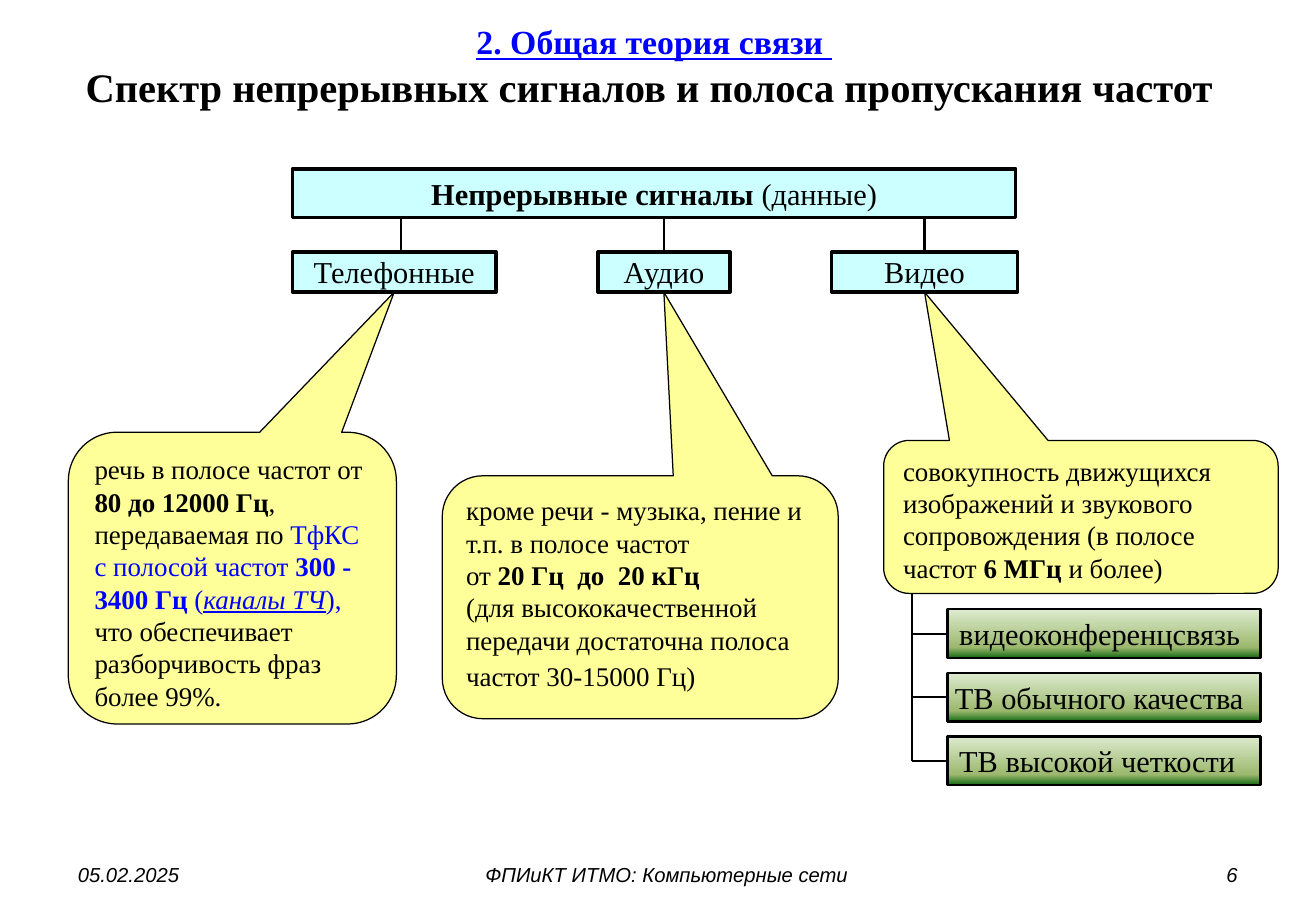
from dataclasses import dataclass

from copy import deepcopy
from lxml.etree import SubElement
from pptx import Presentation
from pptx.dml.color import RGBColor
from pptx.enum.shapes import MSO_CONNECTOR, MSO_SHAPE
from pptx.enum.text import MSO_ANCHOR, MSO_AUTO_SIZE, PP_ALIGN
from pptx.oxml.ns import qn
from pptx.util import Cm, Pt


@dataclass(frozen=True)
class Theme:
    """Colours, fonts and type sizes of the slide."""
    ink: str = "000000"
    accent: str = "0000FF"
    signal: str = "CCFFFF"
    note: str = "FFFF99"
    video: tuple = ((0, "DDEBCF"), (0.78, "9CB86E"), (1, "156B13"))
    serif: str = "Times New Roman"
    sans: str = "Arial"
    section: int = 20
    heading: int = 24
    label: int = 18
    detail: int = 16
    footer: int = 12


THEME = Theme()
BOLD, ITALIC, UNDERLINE, ACCENT, LARGE_SANS = "biual"

SECTION = [("2. Общая теория связи ", BOLD + UNDERLINE + ACCENT)]
HEADING = [("Спектр непрерывных сигналов и полоса пропускания частот ", BOLD)]
SIGNALS = [("Непрерывные сигналы ", BOLD), ("(данные)", "")]
SIGNALS_BOX = (6.12, 3.53, 15.12, 1.02)

KINDS = [
    {"name": "Телефонные", "left": 6.12, "width": 4.25, "stem_shift": 0.14,
     "note_box": (1.43, 9.04, 6.86, 6.1),
     "note": [
         [("речь в полосе частот от ", ""), ("80 до 12000 Гц", BOLD),
          (", передаваемая по ", ""), ("ТфКС с полосой частот ", ACCENT),
          ("300 - 3400 Гц ", BOLD + ACCENT), ("(", ACCENT),
          ("каналы ТЧ", ITALIC + UNDERLINE + ACCENT), ("),", ACCENT)],
         [("что обеспечивает разборчивость фраз более 99%.", "")]]},
    {"name": "Аудио", "left": 12.51, "width": 2.75, "stem_shift": 0,
     "note_box": (9.25, 9.95, 8.28, 5.08),
     "note": [
         [("кроме речи - музыка, пение и т.п. в полосе частот", "")],
         [("от ", ""), ("20 Гц  до  20 кГц", BOLD)],
         [("(для высококачественной передачи достаточна полоса "
           "частот 30-15000 Гц)", ""), (" ", LARGE_SANS)]]},
    {"name": "Видео", "left": 17.39, "width": 3.89, "stem_shift": 0,
     "note_box": (18.48, 9.21, 8.25, 3.2),
     "note": [
         [("совокупность движущихся изображений и звукового сопровождения "
           "(в полосе частот ", ""), ("6 МГц ", BOLD), ("и более)", "")]]},
]
KIND_TOP, KIND_HEIGHT = 5.27, 0.84

VIDEO_FORMATS = [("видеоконференцсвязь", 0.25), ("ТВ обычного качества", 0.16),
                 ("ТВ высокой четкости", 0.25)]
FORMAT_LEFT, FORMAT_TOP, FORMAT_WIDTH, FORMAT_HEIGHT = 19.81, 12.74, 6.55, 1.02
FORMAT_PITCH = 1.33
TRUNK_X, TRUNK_TOP = 19.07, 12.4

FOOTERS = [("05.02.2025", 1.38, 6.43, PP_ALIGN.LEFT),
           ("ФПИиКТ ИТМО: Компьютерные сети", 8.51, 10.87, PP_ALIGN.CENTER),
           ("6", 19.7, 6.43, PP_ALIGN.RIGHT)]


def write(shape, paragraphs, sizes, font=THEME.serif, align=PP_ALIGN.LEFT,
          anchor=MSO_ANCHOR.TOP, margins=(0.25, 0.13, 0.25, 0.13)):
    """Fill a shape with styled paragraphs."""
    frame = shape.text_frame
    frame.word_wrap = True
    frame.auto_size = MSO_AUTO_SIZE.NONE
    frame.vertical_anchor = anchor
    (frame.margin_left, frame.margin_top,
     frame.margin_right, frame.margin_bottom) = map(Cm, margins)
    for index, (runs, size) in enumerate(zip(paragraphs, sizes)):
        paragraph = frame.add_paragraph() if index else frame.paragraphs[0]
        paragraph.alignment = align
        for text, style in runs:
            run = paragraph.add_run()
            run.text = text
            large = LARGE_SANS in style
            run.font.name = THEME.sans if large else font
            run.font.size = Pt(THEME.label if large else size)
            run.font.bold, run.font.italic = BOLD in style, ITALIC in style
            run.font.underline = UNDERLINE in style
            colour = THEME.accent if ACCENT in style else THEME.ink
            run.font.color.rgb = RGBColor.from_string(colour)


def add_block(slide, preset, box, fill, weight):
    """Add an outlined shape with a plain or graded fill."""
    block = slide.shapes.add_shape(preset, *map(Cm, box))
    block.shadow.inherit = False
    block.line.color.rgb = RGBColor.from_string(THEME.ink)
    block.line.width = Pt(weight)
    if isinstance(fill, str):
        block.fill.solid()
        block.fill.fore_color.rgb = RGBColor.from_string(fill)
        return block
    block.fill.gradient()
    block.fill.gradient_angle = 270
    stop_list = next(block.element.iter(qn("a:gsLst")))
    stop_list.append(deepcopy(stop_list[-1]))
    for stop, (position, colour) in zip(block.fill.gradient_stops, fill):
        stop.position = position
        stop.color.rgb = RGBColor.from_string(colour)
    return block


def add_link(slide, start, end, weight):
    """Add a straight black line without a shadow."""
    link = slide.shapes.add_connector(MSO_CONNECTOR.STRAIGHT, *map(Cm, start + end))
    link.line.color.rgb = RGBColor.from_string(THEME.ink)
    link.line.width = Pt(weight)
    SubElement(link.element.spPr, qn("a:effectLst"))
    return link


def add_video_formats(slide):
    """Add the column of video formats with its tree lines."""
    middle = FORMAT_TOP + FORMAT_HEIGHT / 2
    last = middle + FORMAT_PITCH * (len(VIDEO_FORMATS) - 1)
    add_link(slide, (TRUNK_X, TRUNK_TOP), (TRUNK_X, last), 1.25)
    for row, (name, indent) in enumerate(VIDEO_FORMATS):
        drop = FORMAT_PITCH * row
        box = (FORMAT_LEFT, FORMAT_TOP + drop, FORMAT_WIDTH, FORMAT_HEIGHT)
        video_format = add_block(slide, MSO_SHAPE.RECTANGLE, box, THEME.video, 1.5)
        write(video_format, [[(name, "")]], [THEME.label],
              margins=(indent, 0.13, 0, 0.13))
        branch = add_link(slide, (FORMAT_LEFT, middle + drop),
                          (TRUNK_X, middle + drop), 1.25)
        branch.begin_connect(video_format, 1)


def add_kind(slide, kind):
    """Add one kind of signal with its stem and its callout."""
    centre = kind["left"] + kind["width"] / 2
    box = (kind["left"], KIND_TOP, kind["width"], KIND_HEIGHT)
    signal = add_block(slide, MSO_SHAPE.RECTANGLE, box, THEME.signal, 2.25)
    write(signal, [[(kind["name"], "")]], [THEME.label], align=PP_ALIGN.CENTER,
          margins=(0.05, 0.03, 0.05, 0.03))
    stem_x = centre + kind["stem_shift"]
    stem = add_link(slide, (stem_x, KIND_TOP),
                    (stem_x, SIGNALS_BOX[1] + SIGNALS_BOX[3]), 1.5)
    if not kind["stem_shift"]:
        stem.begin_connect(signal, 0)

    left, top, width, height = kind["note_box"]
    note = add_block(slide, MSO_SHAPE.ROUNDED_RECTANGULAR_CALLOUT,
                     kind["note_box"], THEME.note, 0.75)
    note.adjustments[0] = (centre - left) / width - 0.5
    note.adjustments[1] = (KIND_TOP + KIND_HEIGHT - top) / height - 0.5
    note.adjustments[2] = 0.167
    write(note, kind["note"], [THEME.detail] * len(kind["note"]))


def main():
    """Build the slide and save it."""
    deck = Presentation()
    deck.slide_width, deck.slide_height = Cm(27.52), Cm(19.05)
    slide = deck.slides.add_slide(deck.slide_layouts[5])
    title = slide.shapes.title
    title.left, title.top, title.width, title.height = map(Cm, (0.36, 0.32, 26.64, 2.11))
    write(title, [SECTION, HEADING], [THEME.section, THEME.heading],
          align=PP_ALIGN.CENTER, anchor=MSO_ANCHOR.MIDDLE)

    add_video_formats(slide)
    signals = add_block(slide, MSO_SHAPE.RECTANGLE, SIGNALS_BOX, THEME.signal, 2.25)
    write(signals, [SIGNALS], [THEME.label], align=PP_ALIGN.CENTER)
    for kind in KINDS:
        add_kind(slide, kind)
    for text, left, width, align in FOOTERS:
        footer = slide.shapes.add_textbox(*map(Cm, (left, 17.9, width, 0.76)))
        write(footer, [[(text, ITALIC)]], [THEME.footer], THEME.sans, align)
    deck.save("out.pptx")


if __name__ == "__main__":
    main()
